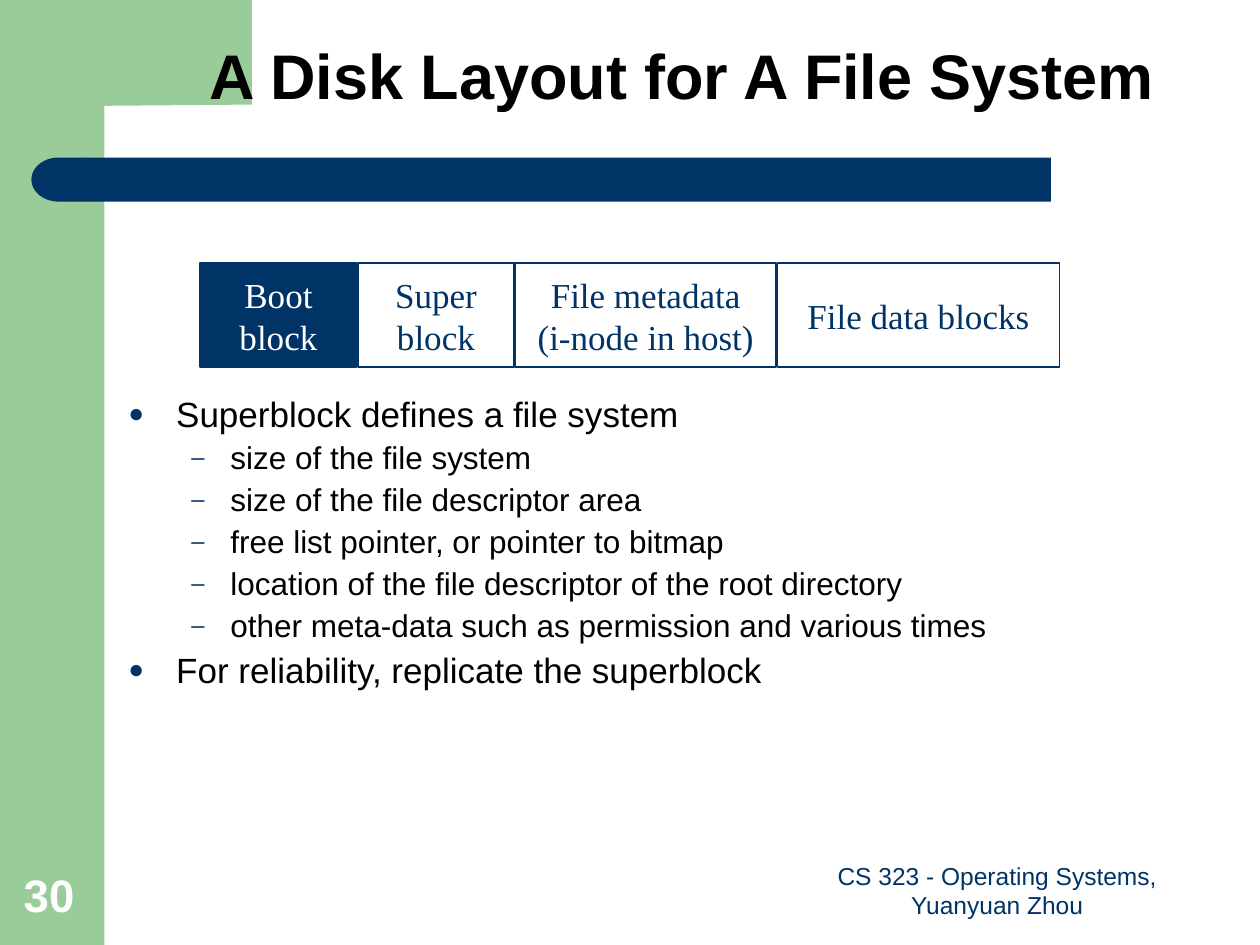
from dataclasses import dataclass

from lxml.etree import SubElement
from pptx import Presentation
from pptx.dml.color import RGBColor as Color
from pptx.enum.shapes import MSO_SHAPE as Shape
from pptx.enum.text import MSO_ANCHOR as Anchor, PP_ALIGN as Align
from pptx.oxml.ns import qn
from pptx.util import Inches, Pt


@dataclass(frozen=True)
class Theme:
    green: Color = Color.from_string("99CC99")
    navy: Color = Color.from_string("003366")
    black: Color = Color.from_string("000000")
    white: Color = Color.from_string("FFFFFF")
    sans: str = "Arial"
    serif: str = "Times New Roman"
    title: int = 36
    number: int = 26
    body: int = 20
    detail: int = 18
    footer: int = 14


class SlideBuilder:
    def __init__(self, slide, theme):
        self.shapes = slide.shapes
        self.theme = theme

    def paint(self, shape, fill=None, line=None):
        shape.shadow.inherit = False
        if fill is None:
            shape.fill.background()
        else:
            shape.fill.solid()
            shape.fill.fore_color.rgb = fill
        if line is None:
            shape.line.fill.background()
        else:
            shape.line.color.rgb = line
            shape.line.width = Pt(1)
        return shape

    def shape(self, kind, place, fill=None, line=None):
        shape = self.shapes.add_shape(kind, *map(Inches, place))
        return self.paint(shape, fill, line)

    def outline(self, points, fill):
        start, *rest = [(Inches(x), Inches(y)) for x, y in points]
        builder = self.shapes.build_freeform(*start)
        builder.add_line_segments(rest, close=True)
        return self.paint(builder.convert_to_shape(), fill)

    def style(self, para, size, color, font, bold=False):
        for span in para.runs:
            span.font.size = Pt(size)
            span.font.color.rgb = color
            span.font.name = font
            span.font.bold = bold

    def text(self, place, text, size, color, anchor, align=Align.CENTER, bold=False, spacing=None):
        frame = self.shapes.add_textbox(*map(Inches, place)).text_frame
        frame.word_wrap = True
        frame.vertical_anchor = anchor
        frame.text = text
        para = frame.paragraphs[0]
        para.alignment = align
        para.line_spacing = spacing
        self.style(para, size, color, self.theme.sans, bold)

    def block(self, place, text, filled):
        theme = self.theme
        box = self.shape(Shape.RECTANGLE, place, theme.navy if filled else None, theme.navy)
        frame = box.text_frame
        frame.word_wrap = False
        frame.vertical_anchor = Anchor.MIDDLE
        frame.text = text
        for para in frame.paragraphs:
            para.alignment = Align.CENTER
            self.style(para, theme.body, theme.white if filled else theme.navy, theme.serif)

    def bullet(self, para, level):
        indent, hang, mark = ((0.38, 0.38, "●"), (0.81, 0.31, "–"))[level]
        para.level = level
        props = para._p.get_or_add_pPr()
        props.set("marL", str(Inches(indent)))
        props.set("indent", str(-Inches(hang)))
        color = SubElement(props, qn("a:buClr"))
        SubElement(color, qn("a:srgbClr"), val=str(self.theme.navy))
        SubElement(props, qn("a:buSzPct"), val="75000")
        SubElement(props, qn("a:buFont"), typeface=self.theme.sans)
        SubElement(props, qn("a:buChar"), char=mark)

    def bullets(self, place, items):
        theme = self.theme
        frame = self.shapes.add_textbox(*map(Inches, place)).text_frame
        frame.word_wrap = True
        frame.text = "\n".join(text for _, text in items)
        for para, (level, _) in zip(frame.paragraphs, items):
            size = (theme.body, theme.detail)[level]
            para.line_spacing = 0.9
            para.space_before = Pt(size / 4)
            self.bullet(para, level)
            self.style(para, size, theme.black, theme.sans)


BLOCKS = [
    ("Boot\nblock", 1.24),
    ("Super\nblock", 1.24),
    ("File metadata\n(i-node in host)", 2.07),
    ("File data blocks", 2.24),
]
POINTS = [
    (0, "Superblock defines a file system"),
    (1, "size of the file system"),
    (1, "size of the file descriptor area"),
    (1, "free list pointer, or pointer to bitmap"),
    (1, "location of the file descriptor of the root directory"),
    (1, "other meta-data such as permission and various times"),
    (0, "For reliability, replicate the superblock"),
]
CORNER = [
    (2, 0), (2, 0.83), (0.83, 0.84), (0.77, 0.85), (0.71, 0.92),
    (0.68, 1.04), (0.67, 1.28), (0.5, 1.28), (0.5, 0),
]


def main():
    deck = Presentation()
    deck.slide_width, deck.slide_height = Inches(10), Inches(7.5)
    theme = Theme()
    page = SlideBuilder(deck.slides.add_slide(deck.slide_layouts[6]), theme)

    page.shape(Shape.RECTANGLE, (0, 0, 0.83, 7.5), theme.green)
    page.outline(CORNER, theme.green)
    bar = page.shape(Shape.ROUNDED_RECTANGLE, (0.67, 1.25, 7.67, 0.35), theme.navy)
    bar.adjustments[0] = 0
    cap = page.shape(Shape.FLOWCHART_DELAY, (0.25, 1.25, 0.43, 0.35), theme.navy)
    cap._element.spPr.xfrm.set("flipH", "1")

    page.text((1.08, 0, 8.67, 1.25), "A Disk Layout for A File System",
              theme.title, theme.black, Anchor.MIDDLE, bold=True, spacing=0.9)
    page.bullets((0.92, 3.1, 8.16, 3.25), POINTS)

    left, gap = 1.59, 0.01
    for index, (text, width) in enumerate(BLOCKS):
        page.block((left, 2.09, width, 0.82), text, filled=index == 0)
        left += width + gap

    page.text((6.33, 6.83, 3.17, 0.52), "CS 323 - Operating Systems, Yuanyuan Zhou",
              theme.footer, theme.navy, Anchor.BOTTOM)
    page.text((0.09, 6.83, 0.64, 0.53), "30",
              theme.number, theme.white, Anchor.BOTTOM, Align.LEFT, bold=True)
    deck.save("out.pptx")


if __name__ == "__main__":
    main()
